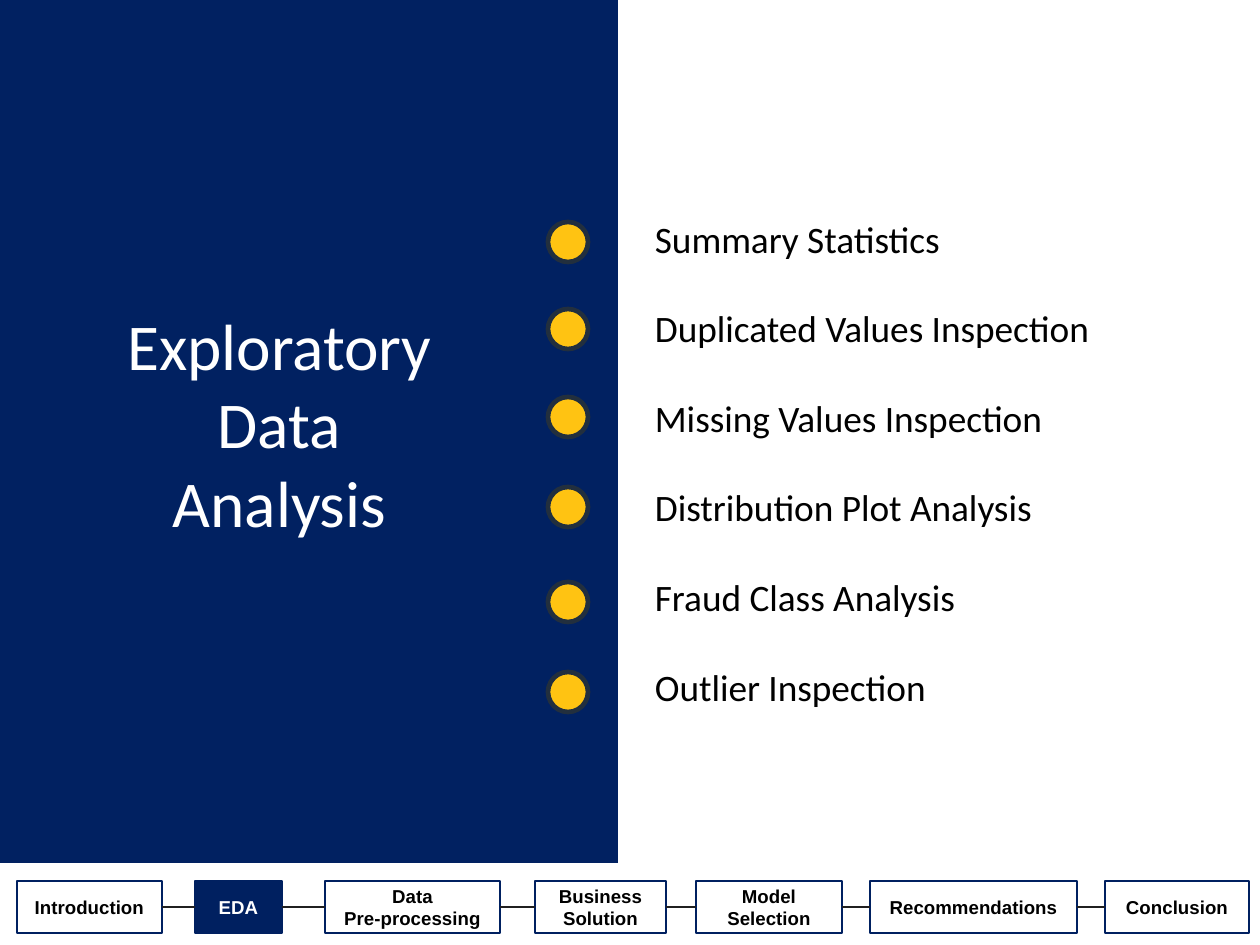
from itertools import pairwise

from lxml import etree
from pptx import Presentation
from pptx import util as u
from pptx.dml import color
from pptx.enum import shapes, text
from pptx.oxml import ns

PX = 914400 / 168
NAVY, PANEL, GOLD = "002060", "012161", "FFC312"
SLATE, GRAY, BLACK, WHITE = "222F3E", "202020", "000000", "FFFFFF"

TOPICS = [
    ("Summary Statistics", 222),
    ("Duplicated Values Inspection", 309),
    ("Missing Values Inspection", 397),
    ("Distribution Plot Analysis", 487),
    ("Fraud Class Analysis", 582),
    ("Outlier Inspection", 672),
]
STEPS = [
    ("Introduction", 17, 145),
    ("EDA", 195, 87),
    ("Data\nPre-processing", 325, 175),
    ("Business Solution", 535, 131),
    ("Model Selection", 696, 146),
    ("Recommendations", 870, 207),
    ("Conclusion", 1105, 144),
]


def px(*values):
    return [round(v * PX) for v in values]


def rgb(value):
    return color.RGBColor.from_string(value)


def add_shape(s, kind, box, fill, line=None, weight=1):
    sp = s.shapes.add_shape(kind, *px(*box))
    sp.shadow.inherit = False
    sp.fill.solid()
    sp.fill.fore_color.rgb = rgb(fill)
    if line:
        sp.line.color.rgb = rgb(line)
        sp.line.width = u.Pt(weight)
    else:
        sp.line.fill.background()
    return sp


def set_text(sp, words, font, size, ink, align, insets, bold=False, gap=0):
    tf = sp.text_frame
    tf.word_wrap = True
    tf.margin_left, tf.margin_top, tf.margin_right, tf.margin_bottom = px(*insets)
    tf.text = words
    for i, p in enumerate(tf.paragraphs):
        p.alignment = align
        if i and gap:
            p.space_before = u.Pt(gap)
        for r in p.runs:
            r.font.name = font
            r.font.size = u.Pt(size)
            r.font.bold = bold
            r.font.color.rgb = rgb(ink)
    return tf


def add_title_panel(s, x, y, w, h):
    add_shape(s, shapes.MSO_SHAPE.RECTANGLE, (x, y, w, h), PANEL)
    title = s.shapes.add_textbox(*px(x + 34, y + 297, 506, 254))
    set_text(title, "Exploratory\nData\nAnalysis", "Calibri", 28, WHITE,
             text.PP_ALIGN.CENTER, (17, 8, 32, 8))
    for _, top in TOPICS:
        add_shape(s, shapes.MSO_SHAPE.OVAL, (x + w - 70, y + top, 40, 40),
                  GOLD, SLATE, 2)


def add_topics(s, x, y, w, h):
    topics = s.shapes.add_textbox(*px(x, y, w, h))
    set_text(topics, "\n".join(name for name, _ in TOPICS), "Calibri", 16, BLACK,
             text.PP_ALIGN.LEFT, (37, 8, 17, 8), gap=19.2)


def add_link(s, left, right):
    link = s.shapes.add_connector(shapes.MSO_CONNECTOR.STRAIGHT, 0, 0, 0, 0)
    link.begin_connect(left, 3)
    link.end_connect(right, 1)
    link.line.color.rgb = rgb(GRAY)
    link.line.width = u.Pt(0.75)
    etree.SubElement(link._element.spPr, ns.qn("a:effectLst"))


def add_progress_bar(s, x, y, h, current):
    boxes = []
    for name, left, width in STEPS:
        active = name == current
        sp = add_shape(s, shapes.MSO_SHAPE.RECTANGLE, (x + left, y, width, h),
                       NAVY if active else WHITE, NAVY)
        tf = set_text(sp, name, "Arial", 8, WHITE if active else BLACK,
                      text.PP_ALIGN.CENTER, (8, 0, 8, 0), bold=True)
        tf.vertical_anchor = text.MSO_ANCHOR.MIDDLE
        boxes.append(sp)
    for left, right in pairwise(boxes):
        add_link(s, left, right)


def main():
    prs = Presentation()
    prs.slide_width, prs.slide_height = px(1260, 945)
    s = prs.slides.add_slide(prs.slide_layouts[6])
    add_progress_bar(s, 0, 881, 52, "EDA")
    add_title_panel(s, 0, 0, 618, 863)
    add_topics(s, 618, 208, 642, 502)
    prs.save("out.pptx")


if __name__ == "__main__":
    main()
